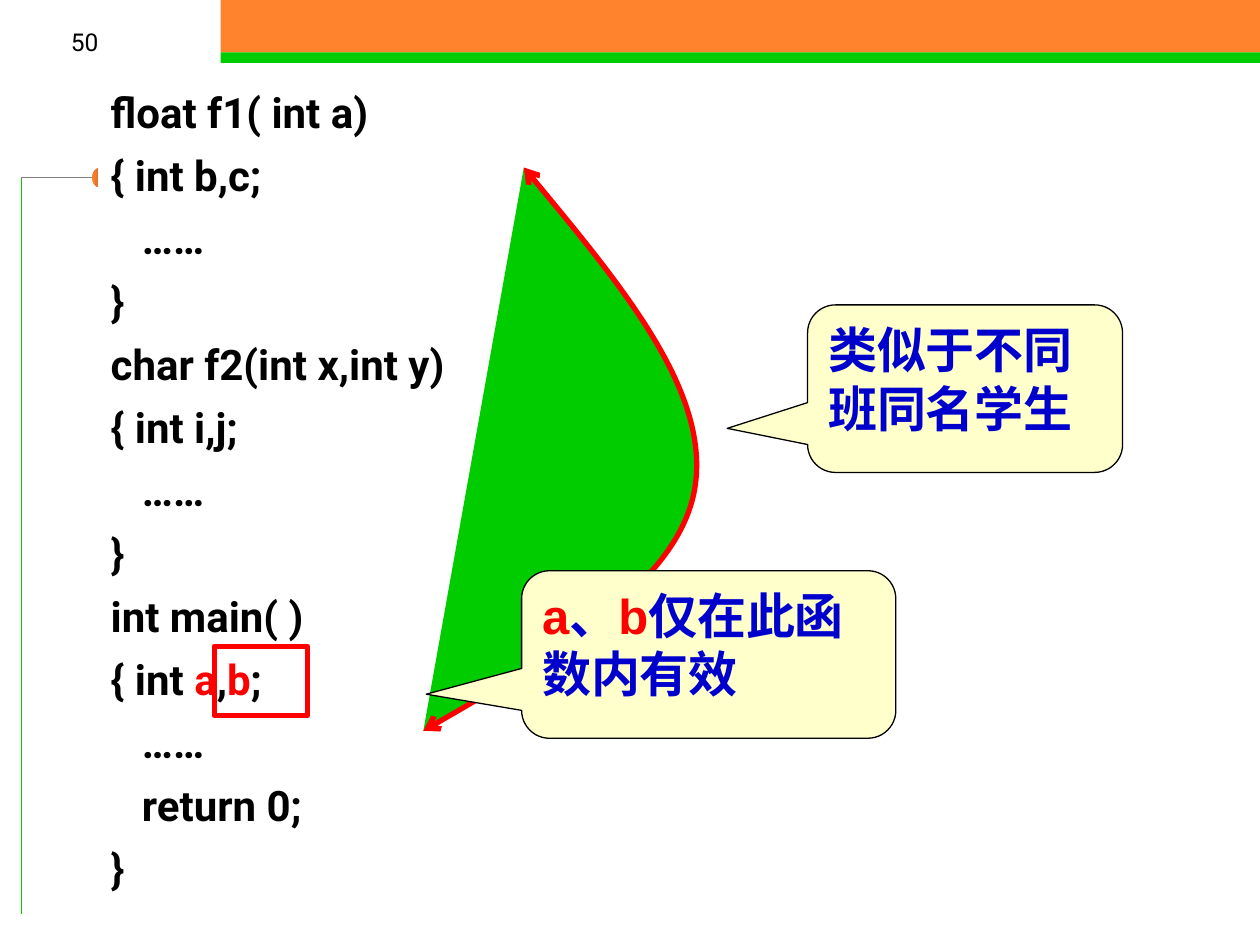
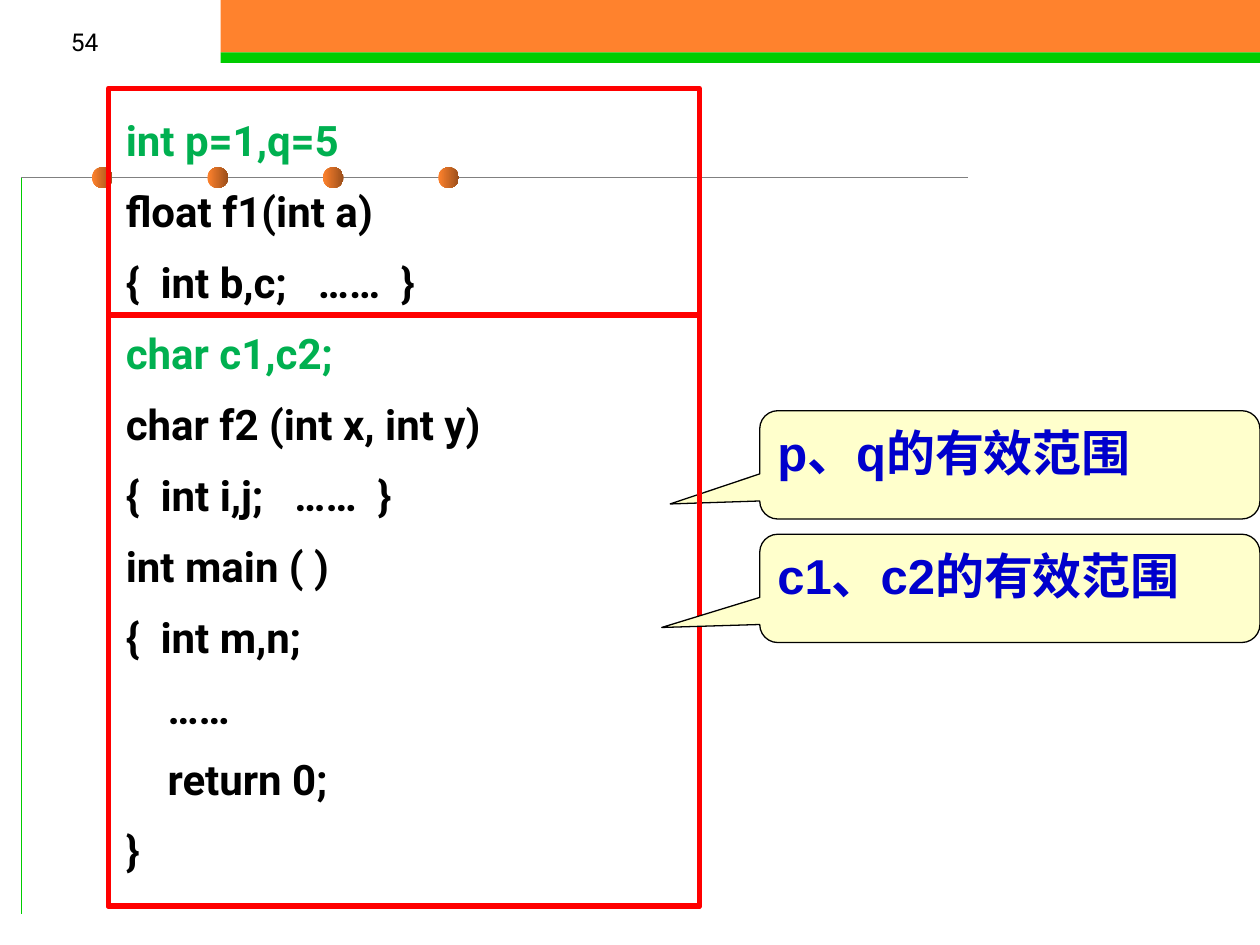
from dataclasses import dataclass

from lxml import etree
from pptx import Presentation
from pptx.dml.color import RGBColor
from pptx.enum.shapes import MSO_CONNECTOR, MSO_SHAPE
from pptx.enum.text import MSO_ANCHOR, PP_ALIGN
from pptx.oxml.ns import qn
from pptx.util import Inches, Pt

RECT = MSO_SHAPE.RECTANGLE
OVAL = MSO_SHAPE.OVAL
CALLOUT = MSO_SHAPE.ROUNDED_RECTANGULAR_CALLOUT
STRAIGHT = MSO_CONNECTOR.STRAIGHT
TOP, BOTTOM = MSO_ANCHOR.TOP, MSO_ANCHOR.BOTTOM
LEFT, RIGHT = PP_ALIGN.LEFT, PP_ALIGN.RIGHT
COLS, ROWS = 100, 75
WIDTH, HEIGHT = Inches(10), Inches(7.5)


@dataclass(frozen=True)
class Theme:
    orange: str = "FF822D"
    brown: str = "9B4F1B"
    green: str = "00CC00"
    code_green: str = "00B050"
    gray: str = "808080"
    red: str = "FF0000"
    blue: str = "0000CC"
    cream: str = "FFFFCC"
    white: str = "FFFFFF"
    black: str = "000000"
    code_font: str = "Roboto"
    note_font: str = "Arial"
    number_size: int = 14
    code_size: int = 24
    note_size: int = 28
    thin: float = 0.75
    thick: float = 3


T = Theme()


def rgb(value):
    return RGBColor.from_string(value)


def gx(col):
    return round(WIDTH * col / COLS)


def gy(row):
    return round(HEIGHT * row / ROWS)


def place(box):
    x, y, w, h = box
    return gx(x), gy(y), gx(w), gy(h)


def paint(sp, fill=None, line=None, width=T.thin):
    sp.shadow.inherit = False
    if fill:
        sp.fill.solid()
        sp.fill.fore_color.rgb = rgb(fill)
    else:
        sp.fill.background()
    if line:
        sp.line.color.rgb = rgb(line)
        sp.line.width = Pt(width)
    else:
        sp.line.fill.background()


def add_box(s, kind, box, **style):
    sp = s.shapes.add_shape(kind, *place(box))
    paint(sp, **style)
    return sp


def add_line(s, x1, y1, x2, y2, color):
    ln = s.shapes.add_connector(STRAIGHT, gx(x1), gy(y1), gx(x2), gy(y2))
    ln.line.color.rgb = rgb(color)
    ln.line.width = Pt(T.thin)
    etree.SubElement(ln._element.spPr, qn("a:effectLst"))


def write(tf, lines, font=T.code_font, size=T.code_size, color=T.black, bold=True,
          align=LEFT, anchor=TOP, spacing=None, before=0):
    tf.word_wrap = True
    tf.vertical_anchor = anchor
    for i, line in enumerate(lines):
        p = tf.paragraphs[0] if i == 0 else tf.add_paragraph()
        p.alignment = align
        p.line_spacing = spacing
        p.space_before = Pt(before if i else 0)
        for part in [line] if isinstance(line, (str, tuple)) else line:
            text, tint = (part, color) if isinstance(part, str) else part
            r = p.add_run()
            r.text = text
            r.font.name = font
            r.font.size = Pt(size)
            r.font.bold = bold
            r.font.color.rgb = rgb(tint)


def add_text(s, box, lines, **style):
    tb = s.shapes.add_textbox(*place(box))
    write(tb.text_frame, lines, **style)
    return tb


def add_frame(s, box):
    add_box(s, RECT, box, line=T.red, width=T.thick)


def add_note(s, box, line, pointer):
    sp = add_box(s, CALLOUT, box, fill=T.cream, line=T.black)
    sp.adjustments[0], sp.adjustments[1] = pointer
    write(sp.text_frame, [line], font=T.note_font, size=T.note_size, color=T.blue)


def add_band(s, box):
    x, y, w, h = box
    split = h * 5 / 6
    add_box(s, RECT, (x, y, w, split), fill=T.orange)
    add_box(s, RECT, (x, y + split, w, h - split), fill=T.green)


def add_rail(s, box, dots):
    x, y, w, h = box
    add_line(s, x, y + h, x, y, T.green)
    add_line(s, x, y, x + w, y, T.gray)
    d = 1.64
    for i in range(dots):
        sp = add_box(s, OVAL, (x + 5.6 + 9.16 * i, y - d / 2, d, d))
        sp.fill.gradient()
        sp.fill.gradient_angle = 0
        for stop, color in zip(sp.fill.gradient_stops, (T.orange, T.brown)):
            stop.color.rgb = rgb(color)


def add_arc(s, box):
    x, y, w, h = box
    shares = [(0.35, 0), (0.675, 0.2), (1, 0.4), (0.945, 0.57),
              (0.89, 0.735), (0.445, 0.87), (0, 1)]
    points = [(gx(x + w * u), gy(y + h * v)) for u, v in shares]
    fb = s.shapes.build_freeform(*points[0])
    fb.add_line_segments(points[1:], close=False)
    sp = fb.convert_to_shape()
    paint(sp, fill=T.green, line=T.red, width=T.thick)
    segments = sp._element.findall(".//" + qn("a:lnTo"))
    for i in range(0, len(segments), 3):
        curve = etree.Element(qn("a:cubicBezTo"))
        segments[i].addprevious(curve)
        for segment in segments[i:i + 3]:
            curve.append(segment[0])
            segment.getparent().remove(segment)
    ln = sp.line._get_or_add_ln()
    for end in ("a:headEnd", "a:tailEnd"):
        etree.SubElement(ln, qn(end), type="arrow")


def add_base(prs, number, dots):
    s = prs.slides.add_slide(prs.slide_layouts[6])
    add_band(s, (17.5, 0, 82.5, 5))
    add_rail(s, (1.7, 14.1, 75.1, 58.4), dots)
    add_text(s, (0, 0, 8.8, 5), [number], size=T.number_size, bold=False,
             align=RIGHT, anchor=BOTTOM)
    return s


def local_scope_slide(prs):
    s = add_base(prs, "50", dots=1)
    code = [
        "float f1( int a)", "{ int b,c;", "   ……", "}",
        "char f2(int x,int y)", "{ int i,j;", "   ……", "}",
        "int main( )", ["{ int ", ("a", T.red), ",", ("b", T.red), ";"],
        "   ……", "   return 0;", "}",
    ]
    tb = add_text(s, (7.8, 6.2, 73.4, 67.2), code, spacing=Pt(30), before=6)
    tb.fill.solid()
    tb.fill.fore_color.rgb = rgb(T.white)
    add_frame(s, (17, 51.3, 7.4, 5.5))
    pointer = (-0.755, 0.237)
    add_note(s, (64.1, 24.2, 25, 13.3), "类似于不同班同名学生", pointer)
    add_arc(s, (33.6, 13.3, 22.8, 44.7))
    add_note(s, (41.4, 45.3, 29.7, 13.3),
             [("a", T.red), "、", ("b", T.red), "仅在此函数内有效"], pointer)


def global_scope_slide(prs):
    s = add_base(prs, "54", dots=4)
    code = [
        ("int p=1,q=5", T.code_green), "float f1(int a)", "{  int b,c;   ……  }",
        ("char c1,c2;", T.code_green), "char f2 (int x, int y)",
        "{  int i,j;   ……  }", "int main ( )", "{  int m,n;",
        "    ……", "    return 0;", "}",
    ]
    add_text(s, (9, 7.8, 55, 64.8), code, spacing=1.2, before=6)
    bottom = 71.9
    scopes = [("p、q的有效范围", 7, 32.6, -0.679),
              ("c1、c2的有效范围", 25, 42.4, -0.696)]
    for label, top, note_top, reach in scopes:
        add_frame(s, (8.6, top, 46.9, bottom - top))
        add_note(s, (60.3, note_top, 39.7, 8.6), label, (reach, 0.361))


def main():
    prs = Presentation()
    prs.slide_width, prs.slide_height = WIDTH, HEIGHT
    local_scope_slide(prs)
    global_scope_slide(prs)
    prs.save("out.pptx")


if __name__ == "__main__":
    main()
